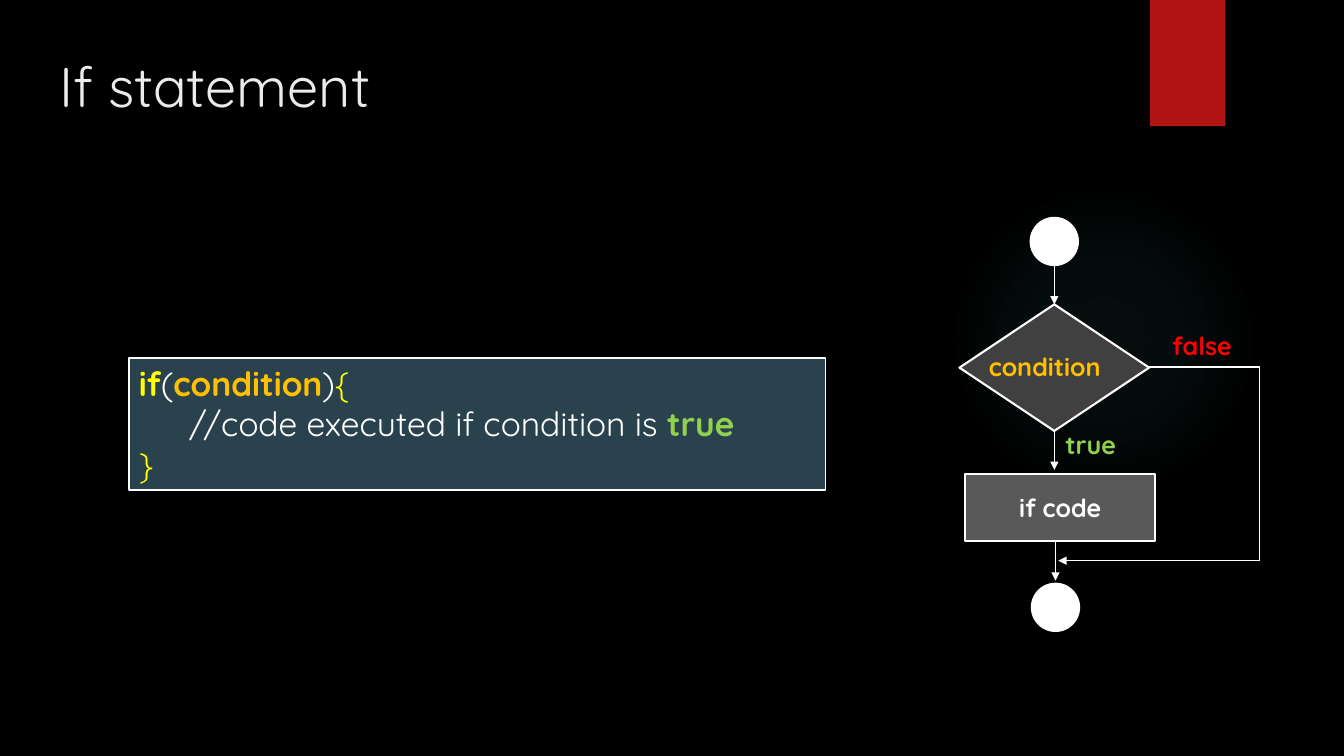
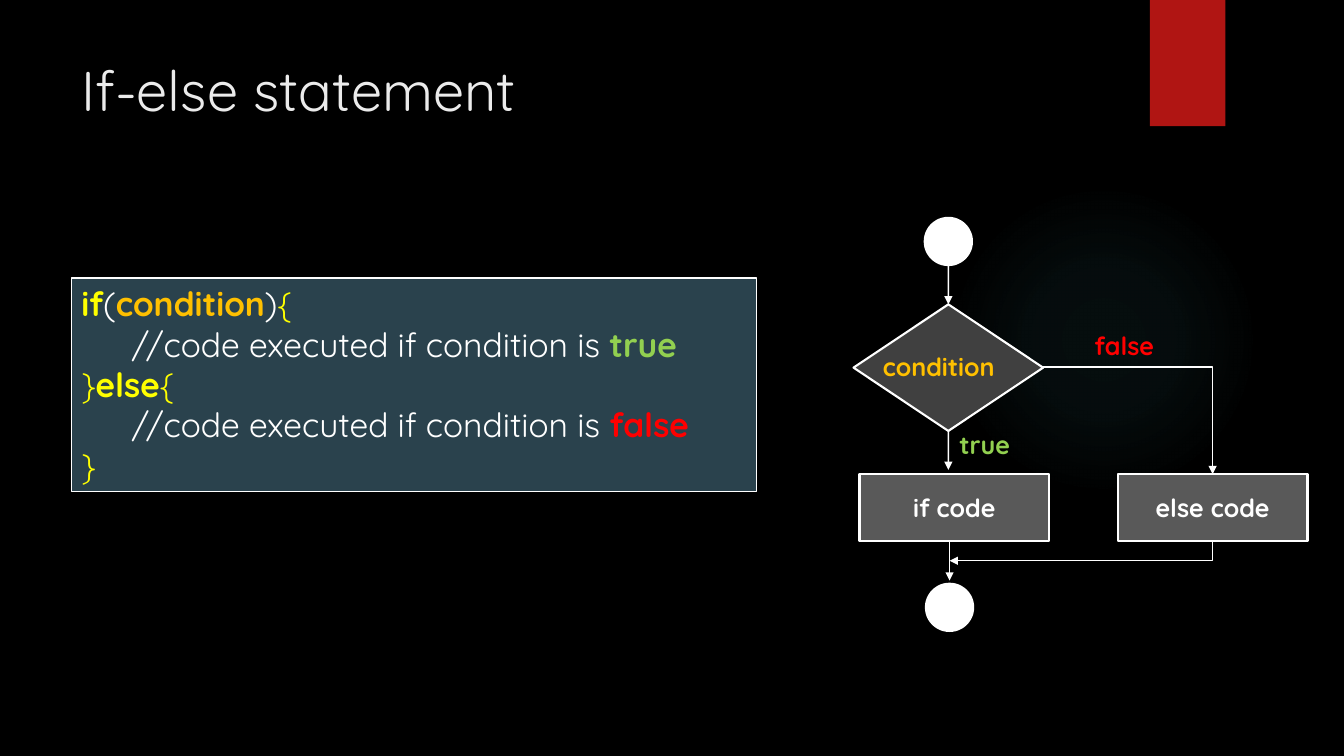
from dataclasses import dataclass
from typing import NamedTuple

from lxml import etree
from pptx import Presentation
from pptx.dml.color import RGBColor
from pptx.enum.shapes import MSO_CONNECTOR, MSO_SHAPE
from pptx.enum.text import MSO_ANCHOR, PP_ALIGN
from pptx.oxml import parse_xml
from pptx.oxml.ns import nsdecls, qn
from pptx.util import Cm, Pt

RECT = MSO_SHAPE.RECTANGLE
OVAL = MSO_SHAPE.OVAL
NODE = MSO_SHAPE.FLOWCHART_CONNECTOR
TEST = MSO_SHAPE.FLOWCHART_DECISION
STEP = MSO_SHAPE.FLOWCHART_PROCESS
LINE, BENT = MSO_CONNECTOR.STRAIGHT, MSO_CONNECTOR.ELBOW
TOP, MID = MSO_ANCHOR.TOP, MSO_ANCHOR.MIDDLE
LEFT, CENTER = PP_ALIGN.LEFT, PP_ALIGN.CENTER

FONT = "Quicksand"
HUES = {
    "back": "000000", "band": "B01513", "glow": "50B9C1", "title": "EBEBEB",
    "code": "2A424D", "test": "404040", "step": "595959", "white": "FFFFFF",
    "yellow": "FFFF00", "amber": "FFC000", "green": "92D050", "red": "FF0000",
}
GLOW = ((0, 7), (36, 6), (69, 0))  # position and opacity, percent
BLOCK_W, BLOCK_H, BLOCK_Y = 4.78, 1.68, 11.95
TEST_Y, TEST_H = 7.67, 3.19
TEST_MID = 9.25
JOIN_Y = 14.13
DOT = 1.19


class Box(NamedTuple):
    x: float
    y: float
    w: float
    h: float


class Spot(NamedTuple):
    x: float
    y: float


class Bit(NamedTuple):
    text: str
    hue: str
    bold: bool = False


@dataclass
class Row:
    bits: list[Bit]
    inset: float = 0


@dataclass
class Page:
    title: str
    head: Spot
    code: Box
    rows: list[Row]
    axis: float
    no_x: float
    side: str = ""


def note(verdict: Bit) -> Row:
    return Row([Bit("//code executed if condition is ", "white"), verdict], 1.27)


OPEN = Row([Bit("if", "yellow", True), Bit("(", "white"),
            Bit("condition", "amber", True), Bit(")", "white"),
            Bit("{", "yellow")])
YES = note(Bit("true", "green", True))
NO = note(Bit("false", "red", True))
ELSE = Row([Bit("}", "yellow"), Bit("else", "yellow", True), Bit("{", "yellow")])
CLOSE = Row([Bit("}", "yellow")])

PAGES = [
    Page("If statement", Spot(1.24, 1.17), Box(3.25, 9.02, 17.55, 3.33),
         [OPEN, YES, CLOSE], 26.57, 29.29),
    Page("If-else statement", Spot(1.8, 1.27), Box(1.8, 7.01, 17.27, 5.38),
         [OPEN, YES, ELSE, NO, CLOSE], 23.9, 27.33, "else code"),
]


def tint(hue: str) -> RGBColor:
    return RGBColor.from_string(HUES[hue])


def write(shape, rows: list[Row], size: float, align=LEFT, anchor=TOP) -> None:
    frame = shape.text_frame
    frame.word_wrap = True
    frame.vertical_anchor = anchor
    for i, row in enumerate(rows):
        para = frame.paragraphs[0] if i == 0 else frame.add_paragraph()
        para.alignment = align
        para.font.name, para.font.size = FONT, Pt(size)
        if row.inset:
            para._p.get_or_add_pPr().set("marL", str(Cm(row.inset)))
        for bit in row.bits:
            run = para.add_run()
            run.text = bit.text
            run.font.bold = bit.bold
            run.font.color.rgb = tint(bit.hue)


def draw(slide, kind, box: Box, fill: str, edge: float = 0):
    """Add a flat shape; an edge of 0 means no outline."""
    shape = slide.shapes.add_shape(kind, *map(Cm, box))
    shape.shadow.inherit = False
    shape.fill.solid()
    shape.fill.fore_color.rgb = tint(fill)
    if edge:
        shape.line.color.rgb = tint("white")
        shape.line.width = Pt(edge)
    else:
        shape.line.fill.background()
    return shape


def label(slide, box: Box, bit: Bit, size: float = 18) -> None:
    write(slide.shapes.add_textbox(*map(Cm, box)), [Row([bit])], size)


def block(slide, x: float, text: str) -> None:
    shape = draw(slide, STEP, Box(x, BLOCK_Y, BLOCK_W, BLOCK_H), "step", 1.5)
    write(shape, [Row([Bit(text, "white", True)])], 18, CENTER, MID)


def wire(slide, start: Spot, end: Spot, kind=LINE):
    """Add a thin white arrow."""
    link = slide.shapes.add_connector(kind, *map(Cm, (*start, *end)))
    link.line.color.rgb = tint("white")
    link.line.width = Pt(1)
    tail = etree.SubElement(link.line._ln, qn("a:tailEnd"))
    tail.set("type", "triangle")
    etree.SubElement(link._element.spPr, qn("a:effectLst"))
    return link


def bend(link, preset: str, *ratios: float) -> None:
    """Choose the elbow form and where it turns."""
    geom = link._element.spPr.find(qn("a:prstGeom"))
    geom.set("prst", preset)
    marks = geom.find(qn("a:avLst"))
    for i, ratio in enumerate(ratios, 1):
        mark = etree.SubElement(marks, qn("a:gd"))
        mark.set("name", f"adj{i}")
        mark.set("fmla", f"val {round(ratio * 100000)}")


def drop(slide, start: Spot, end: Spot) -> None:
    """Draw an arrow that runs down first, then left: a quarter-turned elbow."""
    mid = Spot((start.x + end.x) / 2, (start.y + end.y) / 2)
    half = Spot((end.y - start.y) / 2, (start.x - end.x) / 2)
    link = wire(slide, Spot(mid.x - half.x, mid.y - half.y),
                Spot(mid.x + half.x, mid.y + half.y), BENT)
    bend(link, "bentConnector2")
    link._element.spPr.find(qn("a:xfrm")).set("rot", "5400000")


def base(slide) -> None:
    """Lay the dark ground, the soft glow and the red band."""
    slide.background.fill.solid()
    slide.background.fill.fore_color.rgb = tint("back")
    glow = draw(slide, OVAL, Box(23.9, 4.65, 7.82, 7.82), "glow")
    stops = "".join(
        f'<a:gs pos="{pos * 1000}"><a:srgbClr val="{HUES["glow"]}">'
        f'<a:alpha val="{alpha * 1000}"/></a:srgbClr></a:gs>'
        for pos, alpha in GLOW)
    grad = parse_xml(
        f'<a:gradFill {nsdecls("a")}><a:gsLst>{stops}</a:gsLst>'
        '<a:path path="circle"><a:fillToRect l="50000" t="50000" '
        'r="50000" b="50000"/></a:path></a:gradFill>')
    props = glow._element.spPr
    props.replace(props.find(qn("a:solidFill")), grad)
    draw(slide, RECT, Box(28.98, 0, 1.9, 3.18), "band")


def chart(slide, page: Page) -> None:
    """Draw the flow chart around its vertical axis."""
    axis, low = page.axis, page.axis + 0.03
    right = axis + BLOCK_W / 2
    for x, y in ((axis, 5.49), (low, 14.71)):
        draw(slide, NODE, Box(x - DOT / 2, y, DOT, DOT), "white", 1.5)
    test = draw(slide, TEST, Box(axis - BLOCK_W / 2, TEST_Y, BLOCK_W, TEST_H),
                "test", 1.5)
    block(slide, axis - 2.24, "if code")

    wire(slide, Spot(axis, 6.68), Spot(axis, TEST_Y)).end_connect(test, 0)
    wire(slide, Spot(axis, TEST_Y + TEST_H),
         Spot(axis, 11.84)).begin_connect(test, 2)
    wire(slide, Spot(low, BLOCK_Y + BLOCK_H), Spot(low, 14.63))

    start = Spot(right, TEST_MID)
    if page.side:
        left = 28.17
        mid = left + BLOCK_W / 2
        block(slide, left, page.side)
        bend(wire(slide, start, Spot(mid, BLOCK_Y), BENT), "bentConnector2")
        drop(slide, Spot(mid, BLOCK_Y + BLOCK_H), Spot(low, JOIN_Y))
    else:
        end = Spot(axis + 0.1, JOIN_Y)
        turn = (31.75 - right) / (end.x - right)
        bend(wire(slide, start, end, BENT), "bentConnector4", turn, 1)

    label(slide, Box(axis - 1.9, 8.74, 3.81, 1.02), Bit("condition", "amber", True))
    label(slide, Box(page.no_x, 8.2, 2.11, 1.02), Bit("false", "red", True))
    label(slide, Box(low, 10.69, 1.93, 1.02), Bit("true", "green", True))


def main() -> None:
    deck = Presentation()
    deck.slide_width, deck.slide_height = Cm(33.87), Cm(19.05)
    for page in PAGES:
        slide = deck.slides.add_slide(deck.slide_layouts[6])
        base(slide)
        label(slide, Box(*page.head, 27.33, 2.24), Bit(page.title, "title"), 40)
        write(draw(slide, RECT, page.code, "code", 1), page.rows, 24)
        chart(slide, page)
    deck.save("out.pptx")


if __name__ == "__main__":
    main()
